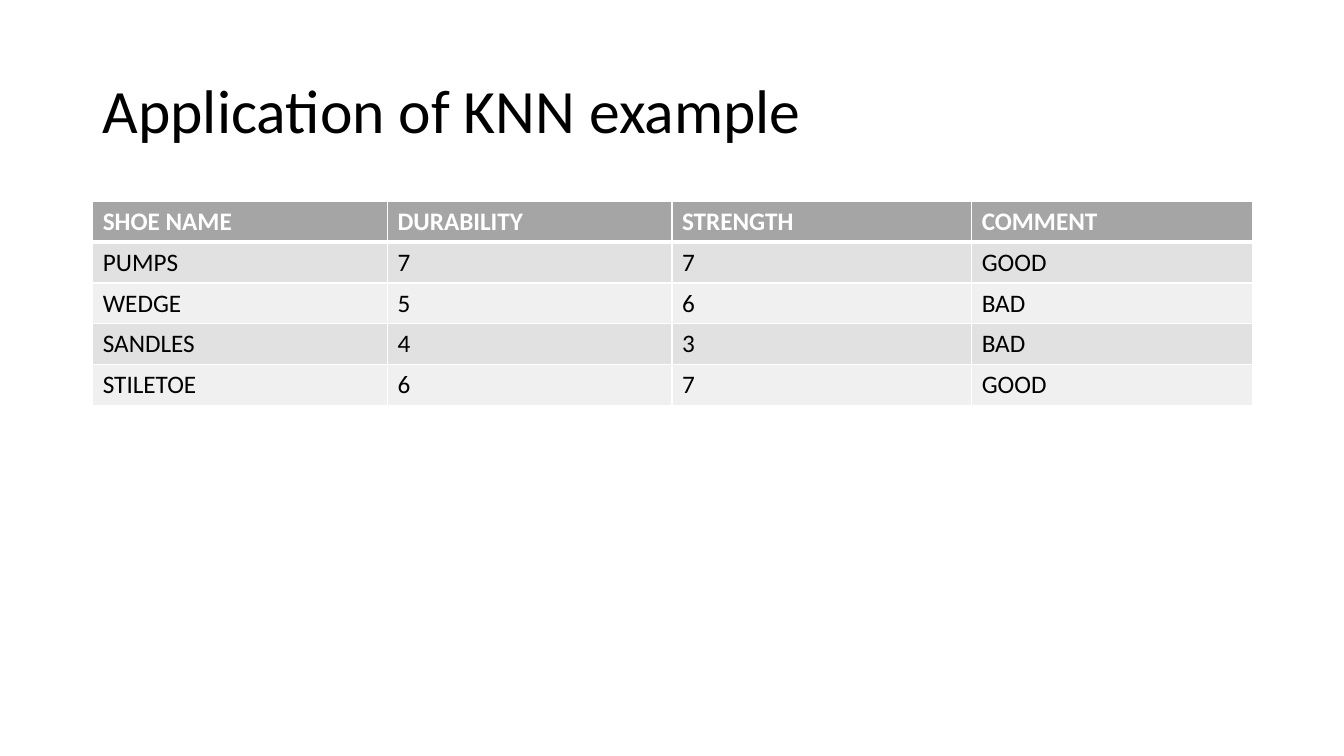
from lxml import etree
from pptx import Presentation
from pptx.dml.color import RGBColor
from pptx.enum.text import MSO_ANCHOR
from pptx.oxml.ns import qn
from pptx.util import Inches, Pt

MIDDLE = MSO_ANCHOR.MIDDLE
FONT = "Calibri"
COLORS = {
    "text": "000000",
    "header_text": "FFFFFF",
    "header": "A5A5A5",
    "odd_row": "E1E1E1",
    "even_row": "F0F0F0",
    "border": "FFFFFF",
}
HEADINGS = ("SHOE NAME", "DURABILITY", "STRENGTH", "COMMENT")
SHOES = (
    ("PUMPS", "7", "7", "GOOD"),
    ("WEDGE", "5", "6", "BAD"),
    ("SANDLES", "4", "3", "BAD"),
    ("STILETOE", "6", "7", "GOOD"),
)
COLUMN_WIDTHS = (2.92, 2.82, 2.97, 2.78)


def color(name):
    return RGBColor.from_string(COLORS[name])


def add_run(paragraph, text, size, color_name, bold=False):
    run = paragraph.add_run()
    run.text = text
    run.font.name = FONT
    run.font.size = Pt(size)
    run.font.bold = bold
    run.font.color.rgb = color(color_name)


def add_border(cell, side, width):
    line = etree.SubElement(cell._tc.get_or_add_tcPr(), qn(f"a:{side}"), w=str(Pt(width)))
    fill = etree.SubElement(line, qn("a:solidFill"))
    etree.SubElement(fill, qn("a:srgbClr"), val=COLORS["border"])


def add_title(slide, left, top, width, height):
    title = slide.shapes.add_textbox(Inches(left), Inches(top), Inches(width), Inches(height))
    frame = title.text_frame
    frame.word_wrap = True
    frame.vertical_anchor = MIDDLE
    paragraph = frame.paragraphs[0]
    paragraph.line_spacing = 0.9
    add_run(paragraph, "Application of KNN example", 44, "text")


def add_shoe_table(slide, left, top, width, height):
    rows = (HEADINGS, *SHOES)
    table = slide.shapes.add_table(
        len(rows), len(HEADINGS), Inches(left), Inches(top), Inches(width), Inches(height)
    ).table
    for column, share in zip(table.columns, COLUMN_WIDTHS):
        column.width = Inches(width * share / sum(COLUMN_WIDTHS))
    for row_index, values in enumerate(rows):
        is_header = row_index == 0
        band = "header" if is_header else "odd_row" if row_index % 2 else "even_row"
        for column_index, value in enumerate(values):
            cell = table.cell(row_index, column_index)
            for side in ("lnL", "lnR", "lnT", "lnB"):
                below_header = (row_index, side) in ((0, "lnB"), (1, "lnT"))
                add_border(cell, side, 3 if below_header else 1)
            cell.fill.solid()
            cell.fill.fore_color.rgb = color(band)
            add_run(
                cell.text_frame.paragraphs[0],
                value,
                18,
                "header_text" if is_header else "text",
                is_header,
            )


presentation = Presentation()
presentation.slide_width = Inches(13.33)
presentation.slide_height = Inches(7.5)
knn_slide = presentation.slides.add_slide(presentation.slide_layouts[6])
add_title(knn_slide, 0.92, 0.4, 11.5, 1.45)
add_shoe_table(knn_slide, 0.92, 2, 11.5, 2.02)
presentation.save("out.pptx")
